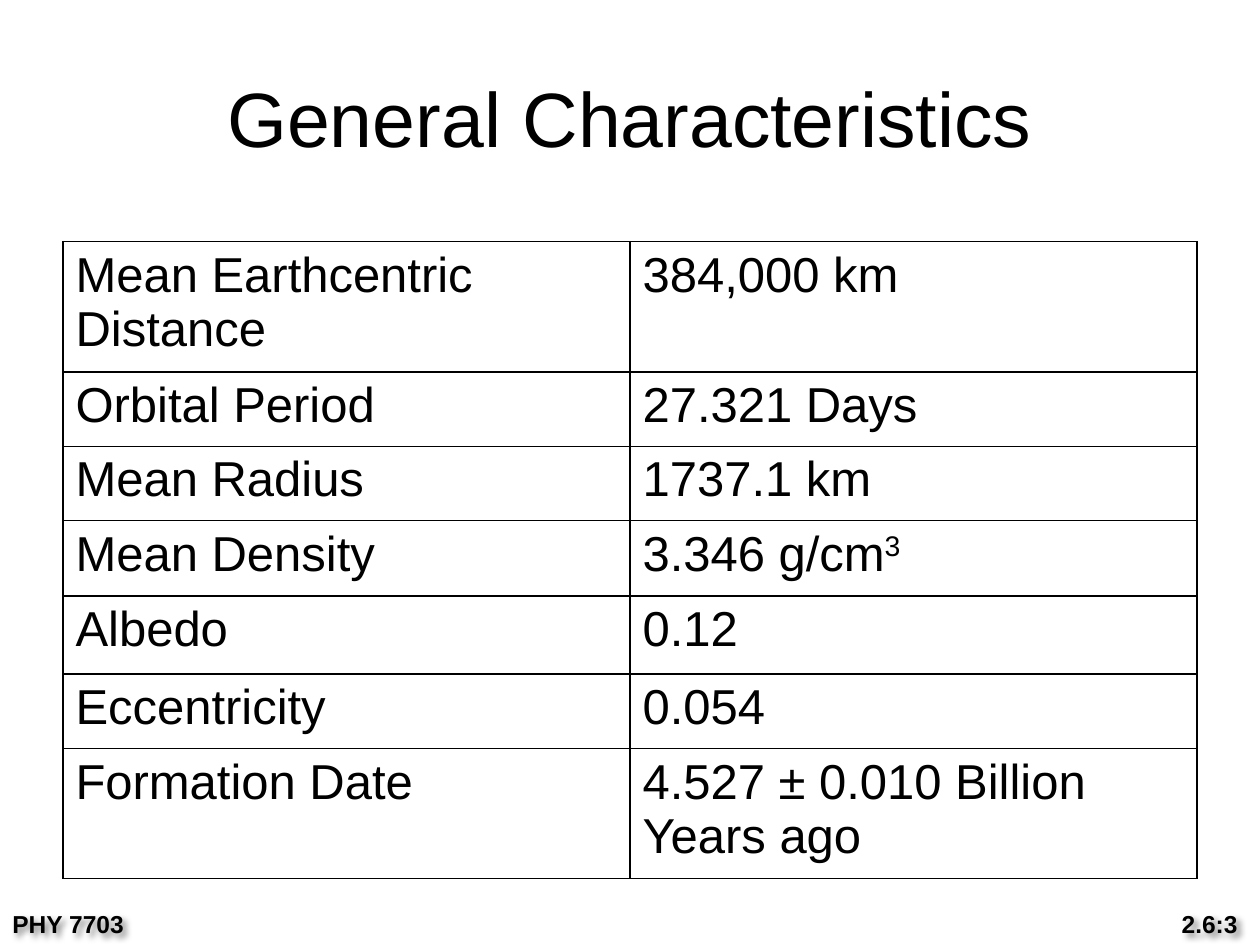
from lxml.etree import SubElement
from pptx import Presentation
from pptx.dml.color import RGBColor
from pptx.enum.text import MSO_ANCHOR as Anchor, MSO_AUTO_SIZE as AutoSize, PP_ALIGN as Align
from pptx.oxml.ns import qn
from pptx.util import Cm, Pt

BLACK = RGBColor(0, 0, 0)
WHITE = RGBColor(255, 255, 255)
TITLE_FORMAT = {"name": "Arial", "size": Pt(44), "bold": False}
CELL_FORMAT = {"name": "Arial", "size": Pt(28), "bold": False}
FOOTER_FORMAT = {"name": "Arial", "size": Pt(14), "bold": True}
ROW_HEIGHTS = [2.46, 1.5, 1.5, 1.52, 1.57, 1.5, 2.46]
CHARACTERISTICS = [
    ("Mean Earthcentric Distance", "384,000 km"),
    ("Orbital Period", "27.321 Days"),
    ("Mean Radius", "1737.1 km"),
    ("Mean Density", "3.346 g/cm^3"),
    ("Albedo", "0.12"),
    ("Eccentricity", "0.054"),
    ("Formation Date", "4.527 ± 0.010 Billion Years ago"),
]


def add_span(para, text, text_format):
    span = para.add_run()
    span.text = text
    for name, value in text_format.items():
        setattr(span.font, name, value)
    span.font.color.rgb = BLACK
    return span


def place_title(page, box):
    title = page.shapes.title
    title.left, title.top, title.width, title.height = map(Cm, box)
    frame = title.text_frame
    frame.vertical_anchor = Anchor.MIDDLE
    frame.auto_size = AutoSize.NONE
    para = frame.paragraphs[0]
    para.alignment = Align.CENTER
    add_span(para, "General Characteristics", TITLE_FORMAT)


def style_cell(cell):
    properties = cell._tc.get_or_add_tcPr()
    for side in ("a:lnL", "a:lnR", "a:lnT", "a:lnB"):
        line = SubElement(properties, qn(side), w=str(Pt(1)))
        paint = SubElement(line, qn("a:solidFill"))
        SubElement(paint, qn("a:srgbClr"), val=str(BLACK))
    cell.fill.solid()
    cell.fill.fore_color.rgb = WHITE
    color = properties.find(qn("a:solidFill")).find(qn("a:srgbClr"))
    SubElement(color, qn("a:alpha"), val="50000")


def place_table(page, box):
    table = page.shapes.add_table(len(CHARACTERISTICS), 2, *map(Cm, box)).table
    for row, height, texts in zip(table.rows, ROW_HEIGHTS, CHARACTERISTICS):
        row.height = Cm(height)
        for cell, text in zip(row.cells, texts):
            style_cell(cell)
            para = cell.text_frame.paragraphs[0]
            base, _, power = text.partition("^")
            add_span(para, base, CELL_FORMAT)
            if power:
                span = add_span(para, power, CELL_FORMAT)
                span.font._element.set("baseline", "30000")


def place_footer(page, box, text, alignment):
    footer = page.shapes.add_textbox(*map(Cm, box))
    frame = footer.text_frame
    frame.word_wrap = True
    frame.auto_size = AutoSize.SHAPE_TO_FIT_TEXT
    para = frame.paragraphs[0]
    para.alignment = alignment
    add_span(para, text, FOOTER_FORMAT)
    effects = SubElement(footer._element.spPr, qn("a:effectLst"))
    shadow = SubElement(effects, qn("a:outerShdw"), blurRad=str(Pt(4)),
                        dist=str(Pt(3)), dir="2700000", algn="tl", rotWithShape="0")
    color = SubElement(shadow, qn("a:srgbClr"), val=str(BLACK))
    SubElement(color, qn("a:alpha"), val="50000")


def main():
    deck = Presentation()
    deck.slide_width, deck.slide_height = Cm(25.4), Cm(19.05)
    page = deck.slides.add_slide(deck.slide_layouts[5])
    place_footer(page, (0, 18.2, 8.05, 0.84), "PHY 7703", Align.LEFT)
    place_footer(page, (17.15, 18.2, 8.05, 0.84), "2.6:3", Align.RIGHT)
    place_title(page, (1.27, 0.76, 22.86, 3.18))
    place_table(page, (1.27, 4.87, 22.86, sum(ROW_HEIGHTS)))
    deck.save("out.pptx")


if __name__ == "__main__":
    main()
